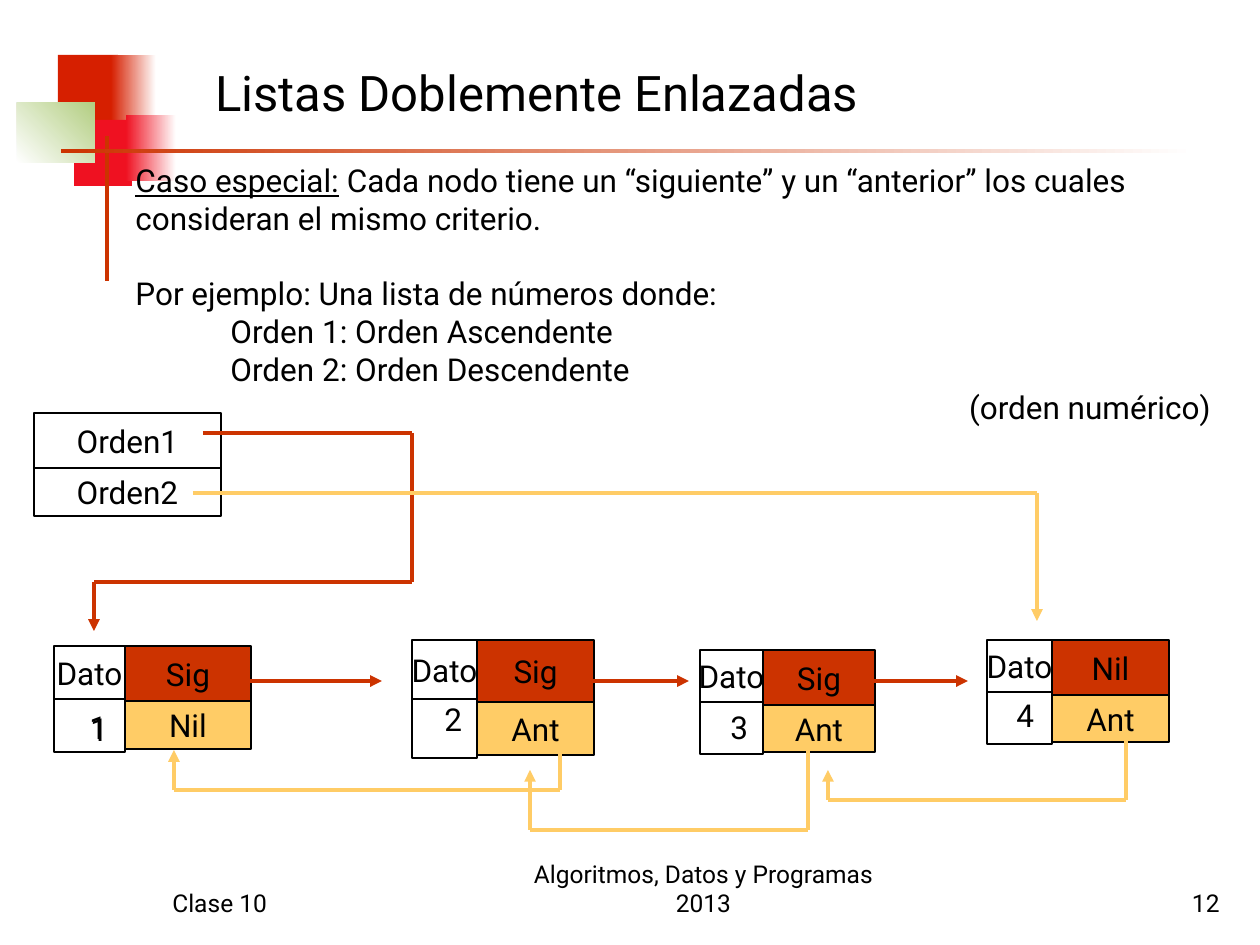
from itertools import pairwise

from lxml import etree
from pptx import Presentation
from pptx.dml.color import RGBColor
from pptx.enum.shapes import MSO_CONNECTOR, MSO_SHAPE
from pptx.enum.text import MSO_ANCHOR, PP_ALIGN
from pptx.oxml.ns import qn
from pptx.util import Emu, Pt

SCALE = 914400 / 126
RECTANGLE = MSO_SHAPE.RECTANGLE
STRAIGHT = MSO_CONNECTOR.STRAIGHT
TOP, MIDDLE, BOTTOM = MSO_ANCHOR.TOP, MSO_ANCHOR.MIDDLE, MSO_ANCHOR.BOTTOM
LEFT, CENTER, RIGHT = PP_ALIGN.LEFT, PP_ALIGN.CENTER, PP_ALIGN.RIGHT
FONT = "Roboto"
BLACK, WHITE, RED, YELLOW = "000000", "FFFFFF", "CC3300", "FFCC66"

DECORATIONS = [
    ((58, 55, 60, 66), ["D61F00"], 0),
    ((111, 55, 45, 66), ["D61F00", WHITE], 0),
    ((74, 120, 58, 66), ["EF1121"], 0),
    ((126, 115, 50, 66), ["EF1121", WHITE], 0),
    ((17, 103, 78, 60), [WHITE, "B3CE82"], 45),
    ((105, 136, 4, 145), [RED], 0),
    ((61, 149, 1134, 4), [RED, WHITE], 0),
]
NODES = [
    ((412, 640), (65, 117), 59, (62, 53), ("Sig", "Ant")),
    ((700, 650), (63, 112), 52, (55, 47), ("Sig", "Ant")),
    ((987, 640), (65, 117), 52, (55, 47), ("Nil", "Ant")),
    ((54, 646), (71, 126), 53, (55, 48), ("Sig", "Nil")),
]
NUMBERS = [
    ("2", (432, 694, 43, 50)),
    ("3", (718, 702, 30, 50)),
    ("4", (1004, 690, 44, 50)),
    ("1", (78, 704, 25, 50)),
    ("1", (77, 702, 43, 50)),
]
ROUTES = [
    (RED, [(203, 433), (412, 433), (412, 582), (94, 582), (94, 631)]),
    (RED, [(233, 681), (382, 681)]),
    (RED, [(581, 681), (689, 681)]),
    (RED, [(868, 681), (968, 681)]),
    (YELLOW, [(193, 493), (1037, 493), (1037, 621)]),
    (YELLOW, [(1126, 731), (1126, 800), (828, 800), (828, 770)]),
    (YELLOW, [(808, 750), (808, 830), (530, 830), (530, 770)]),
    (YELLOW, [(560, 750), (560, 790), (174, 790), (174, 750)]),
]
FOOTERS = [
    ("12", (970, 861, 262, 63), RIGHT),
    ("Clase 10", (160, 861, 262, 63), LEFT),
    ("Algoritmos, Datos y Programas 2013", (504, 861, 399, 63), CENTER),
]


def px(length):
    """Turn a length in px into EMU."""
    return Emu(round(length * SCALE))


def color(value):
    """Turn a hex string into a colour."""
    return RGBColor.from_string(value)


def format_text(frame, size, align, anchor):
    """Format every paragraph of a text frame alike."""
    frame.vertical_anchor = anchor
    for paragraph in frame.paragraphs:
        paragraph.alignment = align
        for span in paragraph.runs:
            span.font.name = FONT
            span.font.size = Pt(size)
            span.font.color.rgb = color(BLACK)


def add_text(page, text, area, size=18, align=LEFT, anchor=TOP):
    """Add a wrapping text box and return its frame."""
    frame = page.shapes.add_textbox(*map(px, area)).text_frame
    frame.word_wrap = True
    frame.text = text
    format_text(frame, size, align, anchor)
    return frame


def add_decoration(page, area, colors, angle):
    """Add a borderless rectangle with a plain or gradient fill."""
    box = page.shapes.add_shape(RECTANGLE, *map(px, area))
    box.shadow.inherit = False
    box.line.fill.background()
    if len(colors) == 1:
        box.fill.solid()
        box.fill.fore_color.rgb = color(colors[0])
        return
    box.fill.gradient()
    box.fill.gradient_angle = angle
    for stop, value in zip(box.fill.gradient_stops, colors):
        stop.color.rgb = color(value)


def add_cell(page, area, text="", fill=None):
    """Add an outlined rectangle with a centred label."""
    box = page.shapes.add_shape(RECTANGLE, *map(px, area))
    box.shadow.inherit = False
    box.line.color.rgb = color(BLACK)
    box.line.width = Pt(0.75)
    if fill:
        box.fill.solid()
        box.fill.fore_color.rgb = color(fill)
    else:
        box.fill.background()
    if text:
        box.text_frame.text = text
        box.text_frame.word_wrap = False
        format_text(box.text_frame, 18, CENTER, MIDDLE)


def add_node(page, corner, widths, data_height, link_heights, links):
    """Add a list node: two data cells beside two link cells."""
    left, top = corner
    data_width, link_width = widths
    add_cell(page, (left, top, data_width, data_height), "Dato")
    add_cell(page, (left, top + data_height, data_width, data_height))
    for height, text, fill in zip(link_heights, links, (RED, YELLOW)):
        add_cell(page, (left + data_width, top, link_width, height), text, fill)
        top += height


def add_route(page, line_color, points):
    """Add straight segments through the points, ending in an arrowhead."""
    for start, end in pairwise(points):
        segment = page.shapes.add_connector(STRAIGHT, *map(px, start + end))
        segment.line.color.rgb = color(line_color)
        segment.line.width = Pt(2.25)
        properties = segment.element.spPr
        etree.SubElement(properties, qn("a:effectLst"))
    tail = etree.SubElement(properties.find(qn("a:ln")), qn("a:tailEnd"))
    tail.set("type", "triangle")


def add_explanation(page):
    """Add the explanation with its underlined opening and indented orders."""
    lines = [
        "Caso especial:",
        "Por ejemplo: Una lista de números donde:",
        "Orden 1: Orden Ascendente",
        "Orden 2: Orden Descendente",
        "(orden numérico)",
    ]
    frame = add_text(page, "\n".join(lines), (123, 155, 1100, 315))
    opening, example, *orders, remark = frame.paragraphs
    opening.add_run().text = (
        " Cada nodo tiene un “siguiente” y un “anterior” los cuales "
        "consideran el mismo criterio."
    )
    format_text(frame, 18, LEFT, TOP)
    opening.runs[0].font.underline = True
    example.space_before = Pt(21.5)
    for order in orders:
        properties = order._p.get_or_add_pPr()
        properties.set("marL", str(px(95)))
        properties.set("indent", "0")
    remark.alignment = RIGHT


def main():
    """Build the slide on doubly linked lists."""
    deck = Presentation()
    deck.slide_width, deck.slide_height = px(1260), px(945)
    page = deck.slides.add_slide(deck.slide_layouts[6])
    for decoration in DECORATIONS:
        add_decoration(page, *decoration)
    add_text(page, "Listas Doblemente Enlazadas", (203, 67, 902, 49), 28, anchor=MIDDLE)
    add_explanation(page)
    add_cell(page, (34, 413, 187, 55), "Orden1")
    add_cell(page, (34, 468, 187, 48), "Orden2")
    for node in NODES:
        add_node(page, *node)
    for text, area in NUMBERS:
        add_text(page, text, area)
    for route in ROUTES:
        add_route(page, *route)
    for text, area, align in FOOTERS:
        add_text(page, text, area, 14, align, BOTTOM)
    deck.save("out.pptx")


if __name__ == "__main__":
    main()
